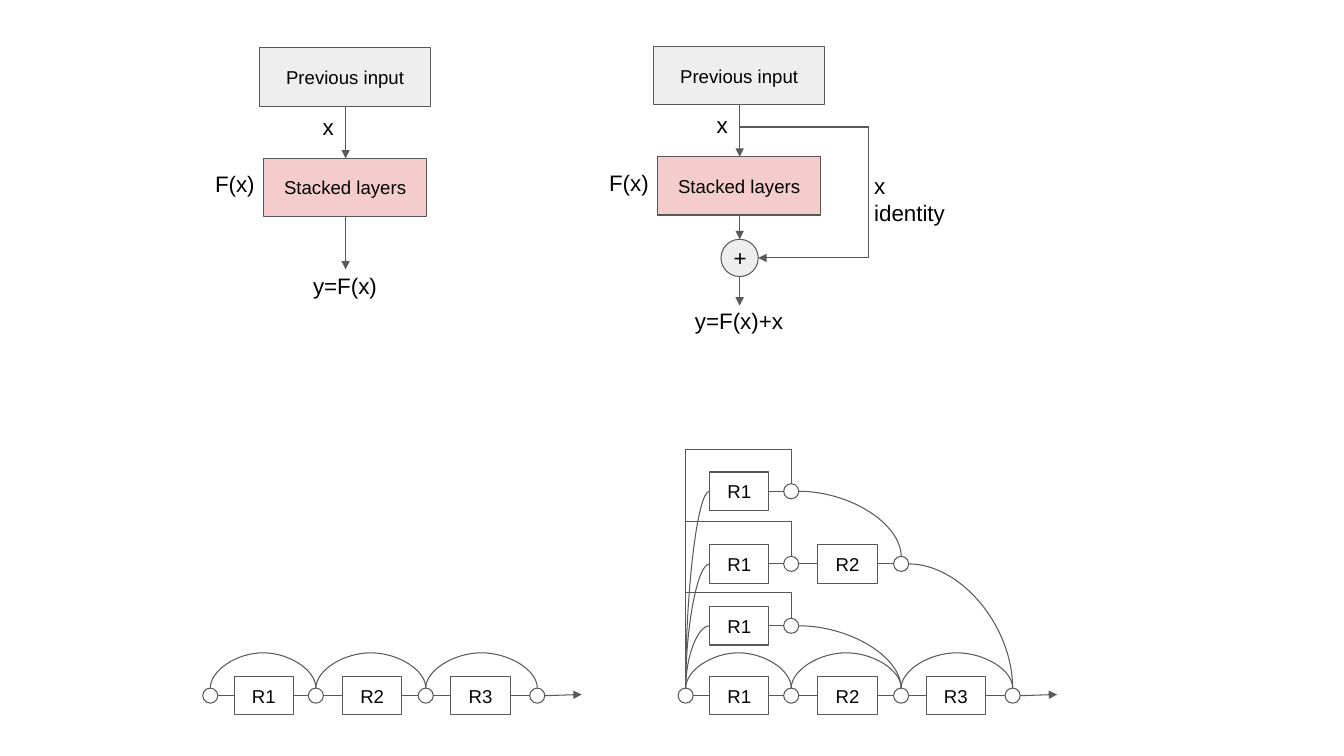
from dataclasses import dataclass

from lxml.etree import SubElement
from pptx import Presentation
from pptx.dml.color import RGBColor
from pptx.enum.shapes import MSO_CONNECTOR as Wire, MSO_SHAPE as Preset
from pptx.enum.text import MSO_ANCHOR as Anchor, PP_ALIGN as Align
from pptx.oxml.ns import qn
from pptx.util import Cm, Pt


@dataclass(frozen=True)
class Theme:
    font: str = "Arial"
    ink: RGBColor = RGBColor(0, 0, 0)
    stroke: RGBColor = RGBColor(0x59, 0x59, 0x59)
    white: RGBColor = RGBColor(0xFF, 0xFF, 0xFF)
    gray: RGBColor = RGBColor(0xEE, 0xEE, 0xEE)
    pink: RGBColor = RGBColor(0xF4, 0xCC, 0xCC)
    block_size: Pt = Pt(13.3)
    label_size: Pt = Pt(16)
    stroke_width: Pt = Pt(0.75)
    inset: Cm = Cm(0.34)


THEME = Theme()
NODE_OFFSETS = (0, 2.66, 5.43, 8.24)
BLOCK_START, BLOCK_PITCH = 0.6, 2.73
BLOCK_WIDTH, BLOCK_HEIGHT = 1.5, 0.97
NODE_RADIUS = 0.19
ARC_RISE = 0.89


def write(frame, text, size, align):
    frame.word_wrap = True
    frame.margin_left = frame.margin_right = THEME.inset
    frame.margin_top = frame.margin_bottom = THEME.inset
    frame.text = text
    for paragraph in frame.paragraphs:
        paragraph.alignment = align
        for run in paragraph.runs:
            run.font.name = THEME.font
            run.font.size = size
            run.font.color.rgb = THEME.ink


def add_label(slide, text, left, top, width, height, align=Align.LEFT):
    label = slide.shapes.add_textbox(Cm(left), Cm(top), Cm(width), Cm(height))
    write(label.text_frame, text, THEME.label_size, align)


def add_block(slide, preset, left, top, width, height, fill, text=None):
    block = slide.shapes.add_shape(preset, Cm(left), Cm(top), Cm(width), Cm(height))
    block.shadow.inherit = False
    block.fill.solid()
    block.fill.fore_color.rgb = fill
    block.line.color.rgb = THEME.stroke
    block.line.width = THEME.stroke_width
    if text:
        write(block.text_frame, text, THEME.block_size, Align.CENTER)
        block.text_frame.vertical_anchor = Anchor.MIDDLE


def add_wire(slide, start, end, arrow=False, kind=Wire.STRAIGHT):
    wire = slide.shapes.add_connector(kind, *(Cm(value) for value in (*start, *end)))
    wire.line.color.rgb = THEME.stroke
    wire.line.width = THEME.stroke_width
    if arrow:
        SubElement(wire.line._get_or_add_ln(), qn("a:tailEnd"), type="triangle")
    SubElement(wire._element.spPr, qn("a:effectLst"))
    return wire


def set_route(wire, preset, adjust=None):
    geometry = wire._element.spPr.find(qn("a:prstGeom"))
    geometry.set("prst", preset)
    if adjust is not None:
        guides = geometry.find(qn("a:avLst"))
        SubElement(guides, qn("a:gd"), name="adj1", fmla=f"val {round(adjust * 100000)}")


def add_drop(slide, start, end):
    set_route(add_wire(slide, start, end, kind=Wire.CURVE), "curvedConnector2")


def add_climb(slide, preset, start, end, peak=None):
    (x1, y1), (x2, y2) = start, end
    run, rise = x2 - x1, y1 - y2
    left, top = (x1 + x2 - rise) / 2, (y1 + y2 - run) / 2
    wire = add_wire(slide, (left, top), (left + rise, top + run), kind=Wire.CURVE)
    set_route(wire, preset, None if peak is None else (y1 - peak) / rise)
    wire._element.spPr.find(qn("a:xfrm")).set("rot", str(270 * 60000))


def add_node(slide, x, axis):
    add_block(slide, Preset.OVAL, x - NODE_RADIUS, axis - NODE_RADIUS,
              2 * NODE_RADIUS, 2 * NODE_RADIUS, THEME.white)


def draw_units(slide, left, axis, count, lead_in):
    for index in range(count):
        before, after = (left + offset for offset in NODE_OFFSETS[index:index + 2])
        block = left + BLOCK_START + index * BLOCK_PITCH
        if index or lead_in:
            add_wire(slide, (before + NODE_RADIUS, axis), (block, axis))
        add_block(slide, Preset.RECTANGLE, block, axis - BLOCK_HEIGHT / 2,
                  BLOCK_WIDTH, BLOCK_HEIGHT, THEME.white, f"R{index + 1}")
        add_wire(slide, (block + BLOCK_WIDTH, axis), (after - NODE_RADIUS, axis))
        add_node(slide, after, axis)


def draw_chain(slide, left, axis):
    add_node(slide, left, axis)
    draw_units(slide, left, axis, 3, True)
    node_top = axis - NODE_RADIUS
    for before, after in zip(NODE_OFFSETS, NODE_OFFSETS[1:]):
        add_climb(slide, "curvedConnector3", (left + before, node_top),
                  (left + after, node_top - 0.01), node_top - ARC_RISE)
    last = left + NODE_OFFSETS[-1] + NODE_RADIUS
    add_wire(slide, (last, axis), (last + 0.93, axis - 0.03), arrow=True)


def draw_unrolled(slide, left, axis):
    draw_chain(slide, left, axis)
    source = (left, axis - NODE_RADIUS)
    branches = ((1.76, 2.59, 1, 0), (3.32, 4.4, 2, 0), (5.15, 6.21, 1, 3.32))
    for height, peak, count, target_height in branches:
        branch = axis - height
        draw_units(slide, left, branch, count, False)
        add_climb(slide, "bentConnector3", source,
                  (left + NODE_OFFSETS[1], branch - NODE_RADIUS), axis - peak)
        add_climb(slide, "curvedConnector2", source, (left + BLOCK_START, branch))
        add_drop(slide, (left + NODE_OFFSETS[count] + NODE_RADIUS, branch),
                 (left + NODE_OFFSETS[count + 1], axis - target_height - NODE_RADIUS))


def draw_layers(slide, left, top, output, output_top):
    center = left + 2.16
    add_block(slide, Preset.RECTANGLE, left, top, 4.3, 1.47, THEME.gray, "Previous input")
    add_block(slide, Preset.RECTANGLE, left + 0.1, top + 2.78, 4.1, 1.47,
              THEME.pink, "Stacked layers")
    add_wire(slide, (center, top + 1.47), (center, top + 2.78), arrow=True)
    add_label(slide, "x", left + 1.24, top + 1.3, 0.76, 1.83)
    add_label(slide, "F(x)", left - 1.47, top + 2.75, 3.33, 1.47)
    add_label(slide, output, left + 0.48, output_top, 3.33, 1.47, Align.CENTER)


def draw_plain(slide, left, top):
    draw_layers(slide, left, top, "y=F(x)", top + 5.3)
    add_wire(slide, (left + 2.16, top + 4.25), (left + 2.16, top + 5.58), arrow=True)


def draw_residual(slide, left, top):
    draw_layers(slide, left, top, "y=F(x)+x", top + 6.22)
    center, bypass = left + 2.16, left + 5.41
    sum_top, sum_size = top + 4.86, 0.94
    fork, merge = top + 2.03, sum_top + sum_size / 2
    add_block(slide, Preset.OVAL, center - sum_size / 2, sum_top,
              sum_size, sum_size, THEME.gray)
    add_label(slide, "+", center - 1.05, top + 4.65, 2.13, 0.94, Align.CENTER)
    add_wire(slide, (center, top + 4.25), (center, sum_top), arrow=True)
    add_wire(slide, (center, sum_top + sum_size), (center, top + 6.53), arrow=True)
    add_wire(slide, (center, fork), (bypass, fork))
    add_wire(slide, (bypass, fork), (bypass, merge))
    add_wire(slide, (bypass, merge), (center + sum_size / 2, merge), arrow=True)
    add_label(slide, "x\nidentity", left + 5.21, top + 2.84, 7.14, 1.83)


def main():
    deck = Presentation()
    deck.slide_width, deck.slide_height = Cm(33.87), Cm(19.05)
    slide = deck.slides.add_slide(deck.slide_layouts[6])
    draw_plain(slide, 6.55, 1.21)
    draw_residual(slide, 16.48, 1.17)
    draw_chain(slide, 5.3, 17.53)
    draw_unrolled(slide, 17.28, 17.53)
    deck.save("out.pptx")


if __name__ == "__main__":
    main()
